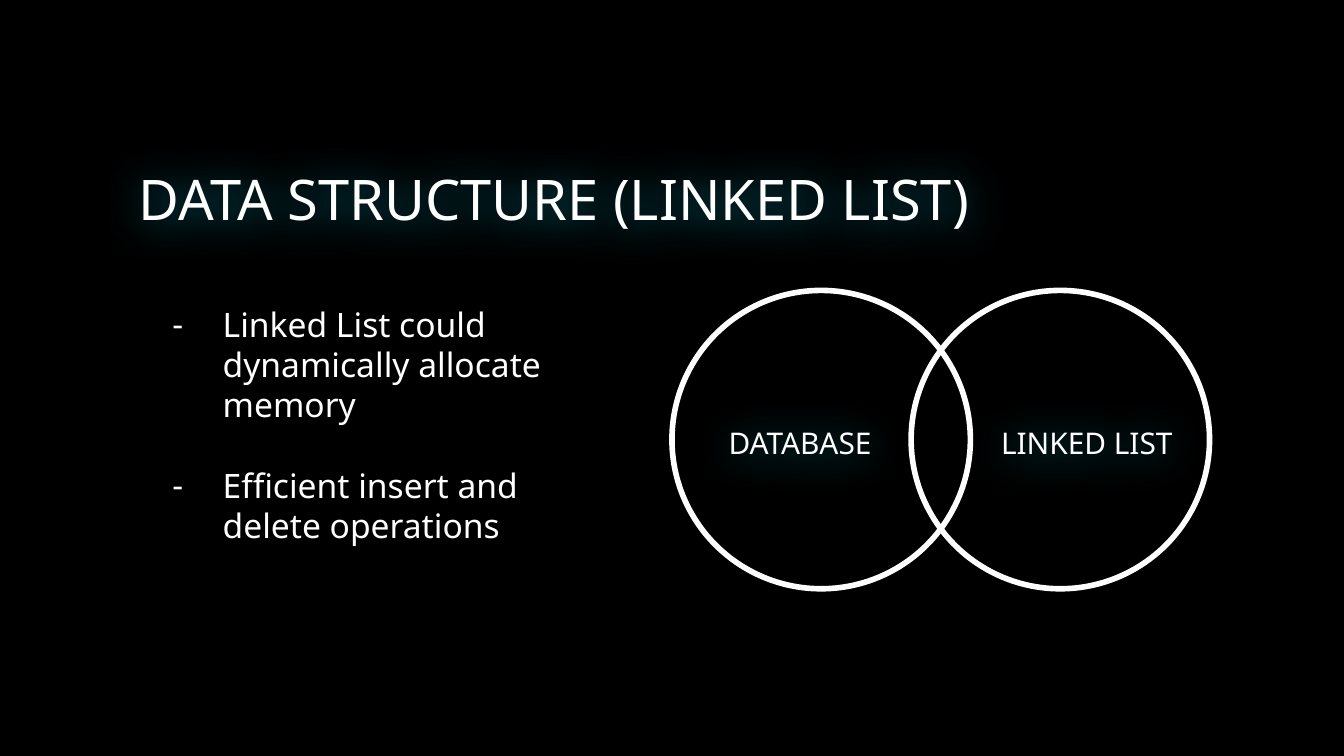
"""Build the linked list slide with two points and a Venn diagram."""
from dataclasses import dataclass

import pptx
import pptx.dml.color
import pptx.enum.shapes
import pptx.enum.text
import pptx.oxml
import pptx.oxml.ns
import pptx.util
from pptx.util import Cm


@dataclass
class Theme:
    font: str = "Noto Sans"
    background: str = "000000"
    ink: str = "FFFFFF"
    glow: str = "00E1FF"
    title: int = 30
    body: int = 18
    label: int = 16


theme = Theme()
ink = pptx.dml.color.RGBColor.from_string(theme.ink)
namespace = pptx.oxml.ns.nsdecls("a")


def add_text(left, top, width, height, inset, lines, size):
    box = page.shapes.add_textbox(Cm(left), Cm(top), Cm(width), Cm(height))
    frame = box.text_frame
    frame.word_wrap = True
    frame.margin_left = frame.margin_right = Cm(inset)
    frame.margin_top = frame.margin_bottom = Cm(inset)
    frame.text = "\n".join(lines)
    for paragraph in frame.paragraphs:
        for span in paragraph.runs:
            span.font.name = theme.font
            span.font.size = pptx.util.Pt(size)
            span.font.color.rgb = ink
    return box


def add_glow(box):
    box._element.spPr.append(pptx.oxml.parse_xml(
        f'<a:effectLst {namespace}><a:outerShdw blurRad="285750" dist="19050" '
        f'dir="5400000" algn="bl" rotWithShape="0"><a:srgbClr val="{theme.glow}">'
        '<a:alpha val="50000"/></a:srgbClr></a:outerShdw></a:effectLst>'))


deck = pptx.Presentation()
deck.slide_width, deck.slide_height = Cm(25.4), Cm(14.29)
page = deck.slides.add_slide(deck.slide_layouts[6])
page.background.fill.solid()
page.background.fill.fore_color.rgb = pptx.dml.color.RGBColor.from_string(theme.background)

title = add_text(2.29, 2.79, 20.52, 1.96, 0.33, ["DATA STRUCTURE (LINKED LIST)"], theme.title)
add_glow(title)

for left in (12.7, 17.22):
    circle = page.shapes.add_shape(
        pptx.enum.shapes.MSO_SHAPE.OVAL, Cm(left), Cm(5.49), Cm(5.64), Cm(5.64))
    circle.shadow.inherit = False
    circle.fill.background()
    circle.line.color.rgb = ink
    circle.line.width = pptx.util.Pt(3)

for name, left, width in (("DATABASE", 13.34, 3.56), ("LINKED LIST", 18.47, 4.14)):
    label = add_text(left, 7.7, width, 1.37, 0.33, [name], theme.label)
    label.text_frame.paragraphs[0].alignment = pptx.enum.text.PP_ALIGN.CENTER
    add_glow(label)

points = add_text(2.69, 5.49, 8.71, 5.13, 0.25, [
    "Linked List could dynamically allocate memory",
    "Efficient insert and delete operations",
], theme.body)
for index, paragraph in enumerate(points.text_frame.paragraphs):
    if index:
        paragraph.space_before = pptx.util.Pt(21.6)
    properties = paragraph._p.get_or_add_pPr()
    properties.set("marL", str(Cm(1.27)))
    properties.set("indent", str(-Cm(0.95)))
    for bullet in (f'<a:buClr {namespace}><a:srgbClr val="{theme.ink}"/></a:buClr>',
                   f'<a:buFont {namespace} typeface="{theme.font}"/>',
                   f'<a:buChar {namespace} char="-"/>'):
        properties.append(pptx.oxml.parse_xml(bullet))

deck.save("out.pptx")
